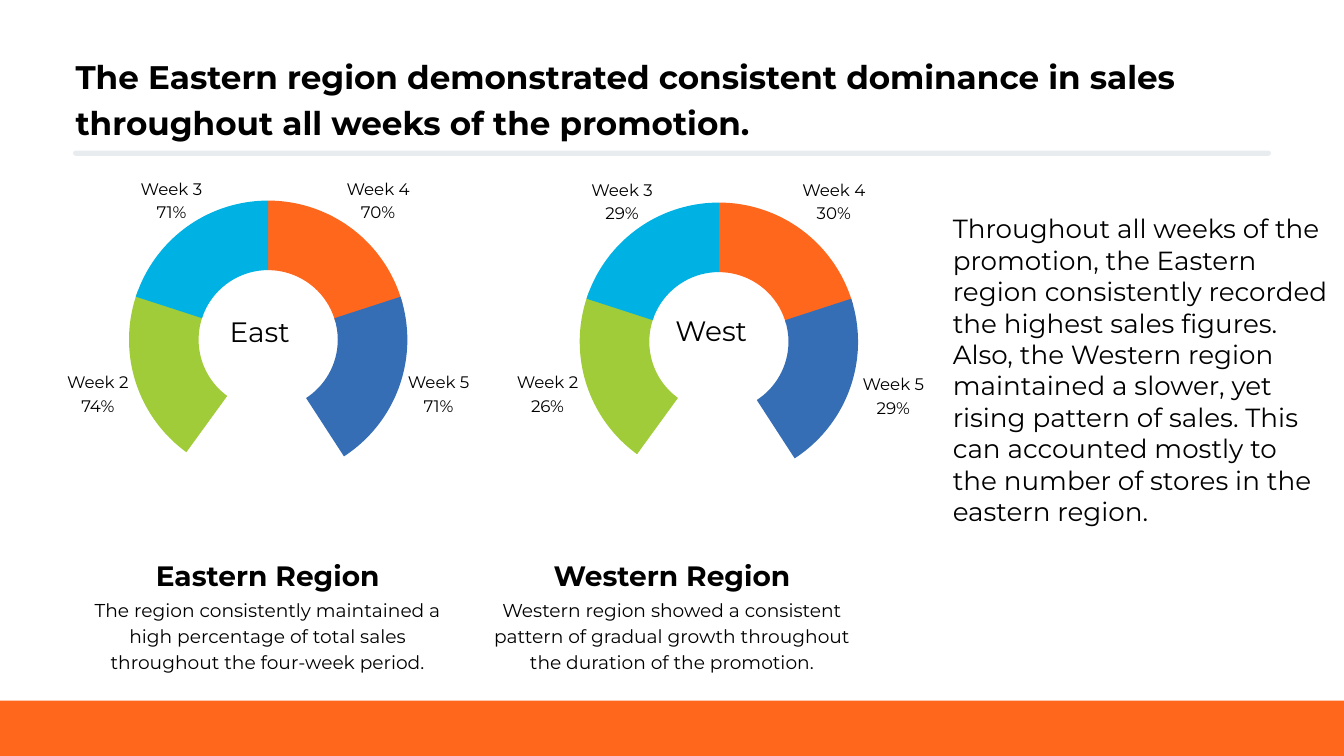
"""Build the slide comparing Eastern and Western sales by promotion week."""
from math import cos, radians, sin

from lxml.etree import SubElement
from pptx import Presentation
from pptx.dml.color import RGBColor
from pptx.enum.shapes import MSO_CONNECTOR, MSO_SHAPE
from pptx.enum.text import MSO_AUTO_SIZE, PP_ALIGN
from pptx.oxml.ns import qn
from pptx.util import Pt

PX = 9144
WIDTH, HEIGHT = 1333, 750
THEME = {
    "font": "Montserrat",
    "text": RGBColor.from_string("000000"),
    "rule": RGBColor.from_string("2E465B"),
    "orange": RGBColor.from_string("FF671D"),
    "blue": RGBColor.from_string("366EB6"),
    "green": RGBColor.from_string("A1CC3A"),
    "cyan": RGBColor.from_string("00B2E3"),
    "title": (23.3, 32.7),
    "heading": (20, 28),
    "caption": (13.3, 18.7),
    "label": (11.9, 16.7),
    "body": (18.7, None),
}
OUTER, INNER = 138, 69
SEGMENTS = [("orange", 0, 40, 75), ("blue", 72, 90, 147),
            ("green", 216, 270, 291), ("cyan", 288, 320, 360)]


def add_text(shapes, frame, lines, style, align=PP_ALIGN.CENTER, bold=False):
    box = shapes.add_textbox(*(length * PX for length in frame))
    text = box.text_frame
    text.margin_left = text.margin_right = text.margin_top = text.margin_bottom = 0
    text.word_wrap = True
    text.auto_size = MSO_AUTO_SIZE.SHAPE_TO_FIT_TEXT
    size, spacing = THEME[style]
    for index, line in enumerate(lines):
        para = text.add_paragraph() if index else text.paragraphs[0]
        para.alignment = align
        if spacing:
            para.line_spacing = Pt(spacing)
        span = para.add_run()
        span.text = line
        span.font.name = THEME["font"]
        span.font.size = Pt(size)
        span.font.bold = bold
        span.font.color.rgb = THEME["text"]


def add_segment(shapes, center, color, start, middle, end):
    corners = [(OUTER, start), (OUTER, middle), (OUTER, end), (INNER, end), (INNER, start)]
    points = [
        ((center[0] + radius * sin(radians(angle))) * PX,
         (center[1] - radius * cos(radians(angle))) * PX)
        for radius, angle in corners
    ]
    builder = shapes.build_freeform(*points[0])
    builder.add_line_segments(points[1:], close=True)
    segment = builder.convert_to_shape()
    segment.shadow.inherit = False
    segment.fill.solid()
    segment.fill.fore_color.rgb = THEME[color]
    segment.line.fill.background()
    contour = segment._element.find(".//" + qn("a:path"))
    move, middle_line, outer_line, side, inner_line, close = list(contour)
    contour.remove(middle_line)
    for straight, radius, begin, sweep in (
            (outer_line, OUTER, start, end - start),
            (inner_line, INNER, end, start - end)):
        arc = SubElement(contour, qn("a:arcTo"), wR=str(radius * PX), hR=str(radius * PX),
                         stAng=str((begin - 90) % 360 * 60000), swAng=str(sweep * 60000))
        contour.replace(straight, arc)


deck = Presentation()
deck.slide_width, deck.slide_height = WIDTH * PX, HEIGHT * PX
page = deck.slides.add_slide(deck.slide_layouts[6])

footer = page.shapes.add_shape(MSO_SHAPE.RECTANGLE, 0, 695 * PX, WIDTH * PX, 55 * PX)
footer.shadow.inherit = False
footer.fill.solid()
footer.fill.fore_color.rgb = THEME["orange"]
footer.line.fill.background()

rule = page.shapes.add_connector(MSO_CONNECTOR.STRAIGHT, 75 * PX, 152 * PX, 1258 * PX, 152 * PX)
rule.line.color.rgb = THEME["rule"]
rule.line.width = Pt(3.75)
outline = rule.line._get_or_add_ln()
outline.set("cap", "rnd")
SubElement(outline.find(".//" + qn("a:srgbClr")), qn("a:alpha"), val="10000")
SubElement(rule._element.spPr, qn("a:effectLst"))

add_text(page.shapes, (75, 50, 1183, 88),
         ["The Eastern region demonstrated consistent dominance in sales "
          "throughout all weeks of the promotion."],
         "title", PP_ALIGN.LEFT, bold=True)

captions = [
    (83, "Eastern Region",
     "The region consistently maintained a high percentage of total sales "
     "throughout the four-week period."),
    (484, "Western Region",
     "Western region showed a consistent pattern of gradual growth throughout "
     "the duration of the promotion."),
]
for left, heading, caption in captions:
    add_text(page.shapes, (left, 549, 365, 36), [heading], "heading", bold=True)
    add_text(page.shapes, (left, 590, 365, 78), [caption], "caption")

rings = [
    ("East", (212, 306), (266, 337), [
        ("Week 4", "70%", 375, 174), ("Week 5", "71%", 435, 366),
        ("Week 2", "74%", 97, 366), ("Week 3", "71%", 170, 174)]),
    ("West", (660, 305), (713, 339), [
        ("Week 4", "30%", 827, 175), ("Week 5", "29%", 886, 368),
        ("Week 2", "26%", 543, 366), ("Week 3", "29%", 617, 175)]),
]
for region, (name_left, name_top), center, labels in rings:
    ring = page.shapes.add_group_shape()
    for week, share, label_center, top in labels:
        add_text(ring.shapes, (label_center - 36, top, 72, 46), [week, share], "label")
    for color, start, middle, end in SEGMENTS:
        add_segment(ring.shapes, center, color, start, middle, end)
    add_text(page.shapes, (name_left, name_top, 91, 36), [region], "heading")

add_text(page.shapes, (945, 211, 372, 314),
         ["Throughout all weeks of the promotion, the Eastern region consistently "
          "recorded the highest sales figures. Also, the Western region maintained "
          "a slower, yet rising pattern of sales. This can accounted mostly to the "
          "number of stores in the eastern region."],
         "body", PP_ALIGN.LEFT)

deck.save("out.pptx")
